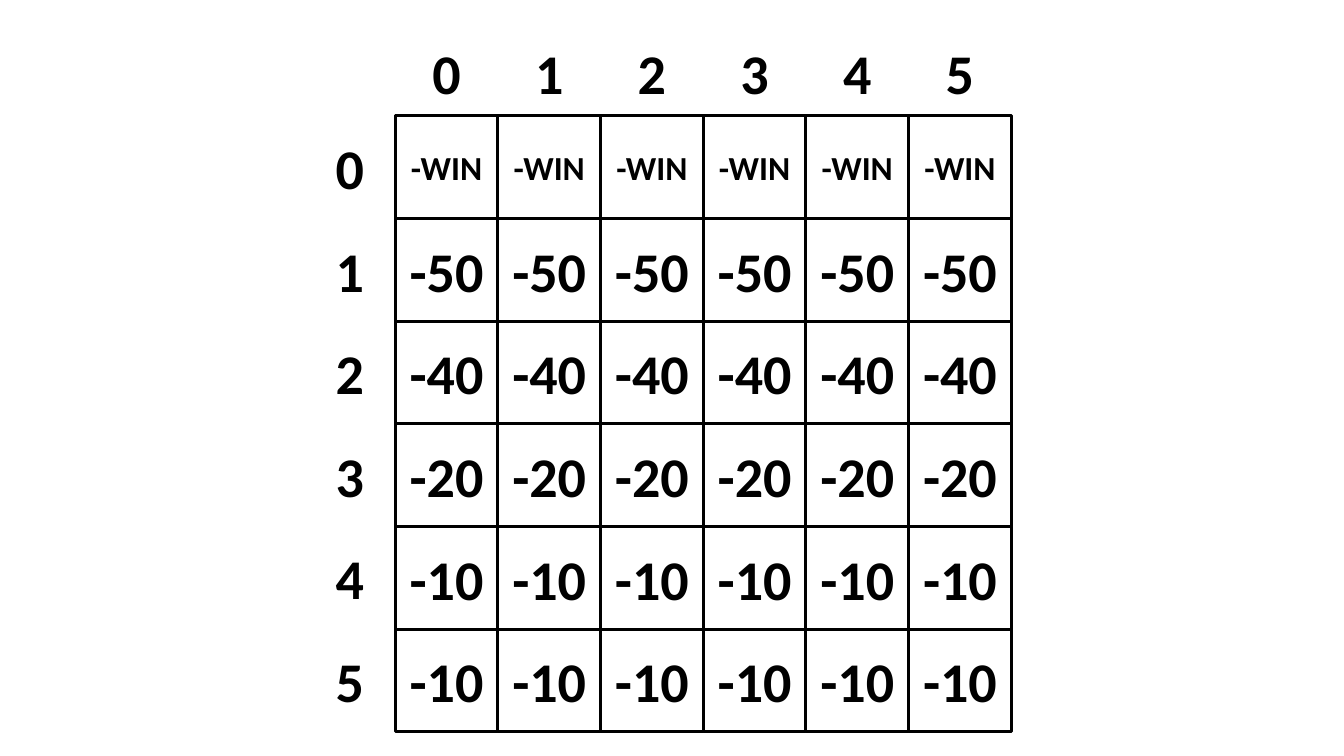
from pptx import Presentation
from pptx.dml.color import RGBColor
from pptx.enum.shapes import MSO_SHAPE as Shape
from pptx.enum.text import MSO_ANCHOR as Anchor, MSO_AUTO_SIZE as Fit, PP_ALIGN as Align
from pptx.util import Emu, Pt

PX = 9144  # 100 px to the inch
COLORS = {"ink": "000000"}
INK = RGBColor.from_string(COLORS["ink"])
FONT = "Calibri"
SCORES = ["-WIN", "-50", "-40", "-20", "-10", "-10"]
COUNT = len(SCORES)
LABEL_W, LABEL_H = 90, 77
HEAD_GAP = 5


def scale(*sizes):
    return [Emu(round(size * PX)) for size in sizes]


def write(shape, text, size):
    frame = shape.text_frame
    frame.word_wrap = True
    para = frame.paragraphs[0]
    para.text = text
    para.alignment = Align.CENTER
    font = para.font
    font.name, font.size, font.bold = FONT, Pt(size), True
    font.color.rgb = INK


def add_cell(slide, box, text):
    cell = slide.shapes.add_shape(Shape.RECTANGLE, *scale(*box))
    cell.shadow.inherit = False
    cell.fill.background()
    cell.line.color.rgb = INK
    cell.line.width = Pt(2.25)
    write(cell, text, 24 if text == "-WIN" else 40)
    cell.text_frame.vertical_anchor = Anchor.MIDDLE


def add_label(slide, left, top, text):
    label = slide.shapes.add_textbox(*scale(left, top, LABEL_W, LABEL_H))
    write(label, text, 40)
    label.text_frame.auto_size = Fit.SHAPE_TO_FIT_TEXT


def add_board(slide, left, top, side):
    """Draw the square score grid with its column and row numbers outside it."""
    step = side / COUNT
    for row, score in enumerate(SCORES):
        for col in range(COUNT):
            add_cell(slide, (left + col * step, top + row * step, step, step), score)
    for col in range(COUNT):
        inset = (step - LABEL_W) / 2
        add_label(slide, left + col * step + inset, top - HEAD_GAP - LABEL_H, str(col))
    for row in range(COUNT):
        inset = (step - LABEL_H) / 2
        add_label(slide, left - LABEL_W, top + row * step + inset, str(row))


def main():
    deck = Presentation()
    deck.slide_width, deck.slide_height = scale(1333, 750)
    slide = deck.slides.add_slide(deck.slide_layouts[6])
    add_board(slide, 392, 115, 611)
    deck.save("out.pptx")


if __name__ == "__main__":
    main()
